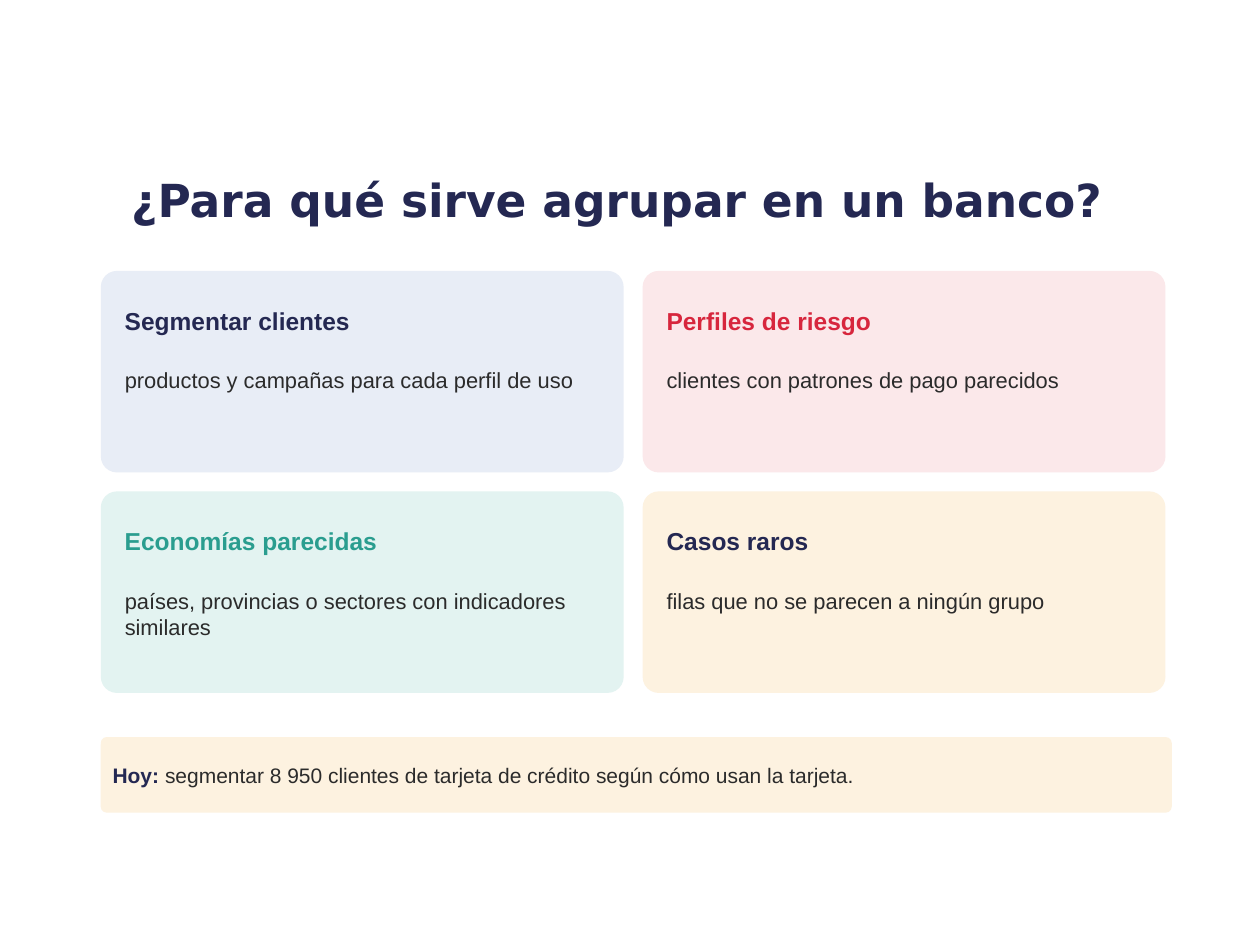
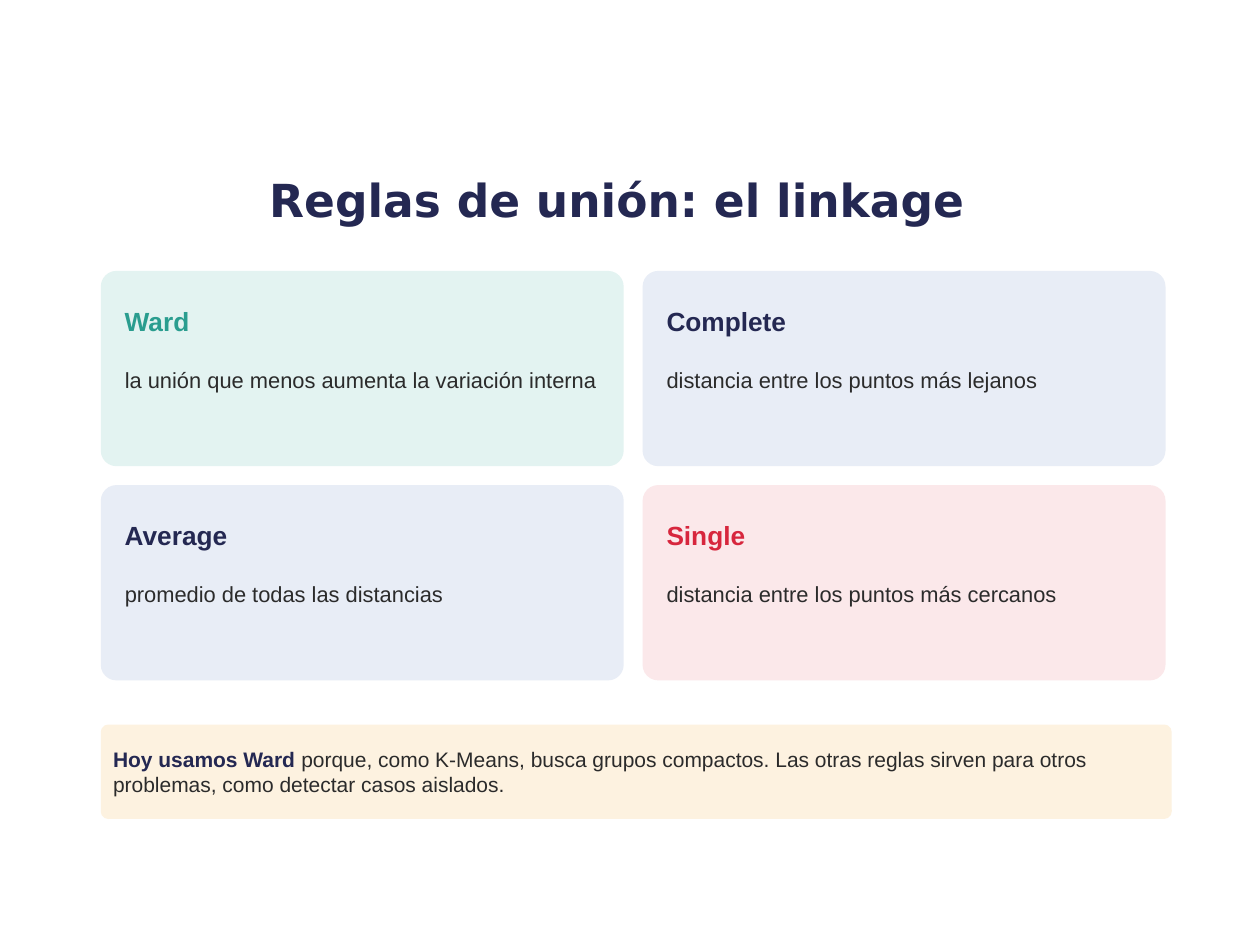
"""Builds two slides of four concept cards, each closed by a highlighted takeaway."""
from pptx import Presentation
from pptx.dml.color import RGBColor
from pptx.enum.shapes import MSO_SHAPE
from pptx.enum.text import MSO_ANCHOR, MSO_AUTO_SIZE, PP_ALIGN
from pptx.util import Inches, Pt

NAVY, RED, TEAL, INK = "242852", "D7263D", "2A9D8F", "2B2B2B"
BLUE_TINT, RED_TINT, TEAL_TINT, CREAM = "E8EDF6", "FBE8EA", "E3F3F1", "FDF2E0"
LEFT, TOP, GAP = 0.8, 2.15, 0.15
CARD_WIDTH, BAND_WIDTH = 4.15, 8.5
TITLE_HEIGHT = 0.55

SLIDES = [
    {
        "title": "¿Para qué sirve agrupar en un banco?",
        "heading_size": 14,
        "card_height": 1.6,
        "band_height": 0.6,
        "cards": [
            ("Segmentar clientes", "productos y campañas para cada perfil de uso", NAVY, BLUE_TINT),
            ("Perfiles de riesgo", "clientes con patrones de pago parecidos", RED, RED_TINT),
            ("Economías parecidas", "países, provincias o sectores con indicadores similares", TEAL, TEAL_TINT),
            ("Casos raros", "filas que no se parecen a ningún grupo", NAVY, CREAM),
        ],
        "takeaway": ("Hoy: ", "segmentar 8 950 clientes de tarjeta de crédito según cómo usan la tarjeta."),
    },
    {
        "title": "Reglas de unión: el linkage",
        "heading_size": 15,
        "card_height": 1.55,
        "band_height": 0.75,
        "cards": [
            ("Ward", "la unión que menos aumenta la variación interna", TEAL, TEAL_TINT),
            ("Complete", "distancia entre los puntos más lejanos", NAVY, BLUE_TINT),
            ("Average", "promedio de todas las distancias", NAVY, BLUE_TINT),
            ("Single", "distancia entre los puntos más cercanos", RED, RED_TINT),
        ],
        "takeaway": (
            "Hoy usamos Ward ",
            "porque, como K-Means, busca grupos compactos. "
            "Las otras reglas sirven para otros problemas, como detectar casos aislados.",
        ),
    },
]


def add_panel(slide, left, top, width, height, color):
    """Add a borderless rounded panel."""
    panel = slide.shapes.add_shape(
        MSO_SHAPE.ROUNDED_RECTANGLE, Inches(left), Inches(top), Inches(width), Inches(height))
    panel.adjustments[0] = 0.08
    panel.shadow.inherit = False
    panel.fill.solid()
    panel.fill.fore_color.rgb = RGBColor.from_string(color)
    panel.line.fill.background()
    return panel


def write_text(shape, pieces, size, inset, space_after, anchor):
    """Write one left-aligned paragraph from (text, color, bold) pieces."""
    frame = shape.text_frame
    frame.word_wrap = True
    frame.vertical_anchor = anchor
    frame.margin_left = frame.margin_right = Inches(inset)
    frame.margin_top = frame.margin_bottom = Inches(inset)
    paragraph = frame.paragraphs[0]
    paragraph.alignment = PP_ALIGN.LEFT
    paragraph.space_after = Pt(space_after)
    for text, color, bold in pieces:
        run = paragraph.add_run()
        run.text = text
        run.font.name = "Arial"
        run.font.size = Pt(size)
        run.font.bold = bold
        run.font.color.rgb = RGBColor.from_string(color)


presentation = Presentation()
presentation.slide_width, presentation.slide_height = Inches(10), Inches(7.5)

for content in SLIDES:
    slide = presentation.slides.add_slide(presentation.slide_layouts[5])
    title = slide.shapes.title
    title.left, title.top, title.width, title.height = map(Inches, (0.75, 1.18, 8.3, 0.8))
    title.text_frame.text = content["title"]
    title.text_frame.vertical_anchor = MSO_ANCHOR.MIDDLE
    paragraph = title.text_frame.paragraphs[0]
    paragraph.alignment = PP_ALIGN.CENTER
    font = paragraph.runs[0].font
    font.name, font.size, font.bold = "DejaVu Sans", Pt(26), True
    font.color.rgb = RGBColor.from_string(NAVY)

    card_height = content["card_height"]
    for index, (heading, description, accent, tint) in enumerate(content["cards"]):
        row, column = divmod(index, 2)
        left = LEFT + column * (CARD_WIDTH + GAP)
        top = TOP + row * (card_height + GAP)
        add_panel(slide, left, top, CARD_WIDTH, card_height, tint)
        texts = [
            (heading, accent, True, content["heading_size"], 0.12, 3.9, TITLE_HEIGHT, MSO_ANCHOR.MIDDLE),
            (description, INK, False, 12.5, 0.72, 3.85, card_height - 0.8, MSO_ANCHOR.TOP),
        ]
        for text, color, bold, size, offset, width, height, anchor in texts:
            box = slide.shapes.add_textbox(
                Inches(left + GAP), Inches(top + offset), Inches(width), Inches(height))
            write_text(box, [(text, color, bold)], size, 0.04, 4, anchor)
            box.text_frame.auto_size = MSO_AUTO_SIZE.SHAPE_TO_FIT_TEXT

    band_top = TOP + 2 * (card_height + GAP) + 0.2
    band = add_panel(slide, LEFT, band_top, BAND_WIDTH, content["band_height"], CREAM)
    lead, detail = content["takeaway"]
    write_text(band, [(lead, NAVY, True), (detail, INK, False)], 12, 0.08, 3, MSO_ANCHOR.MIDDLE)

presentation.save("out.pptx")
